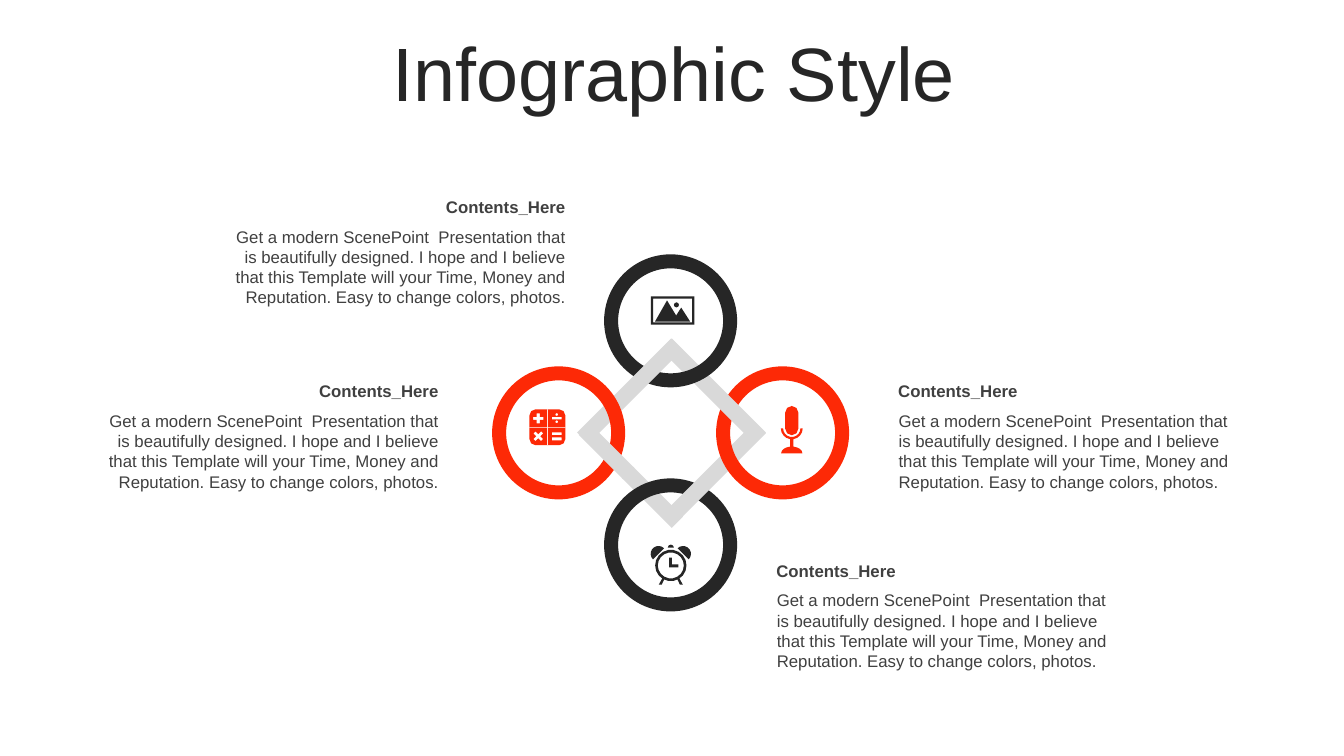
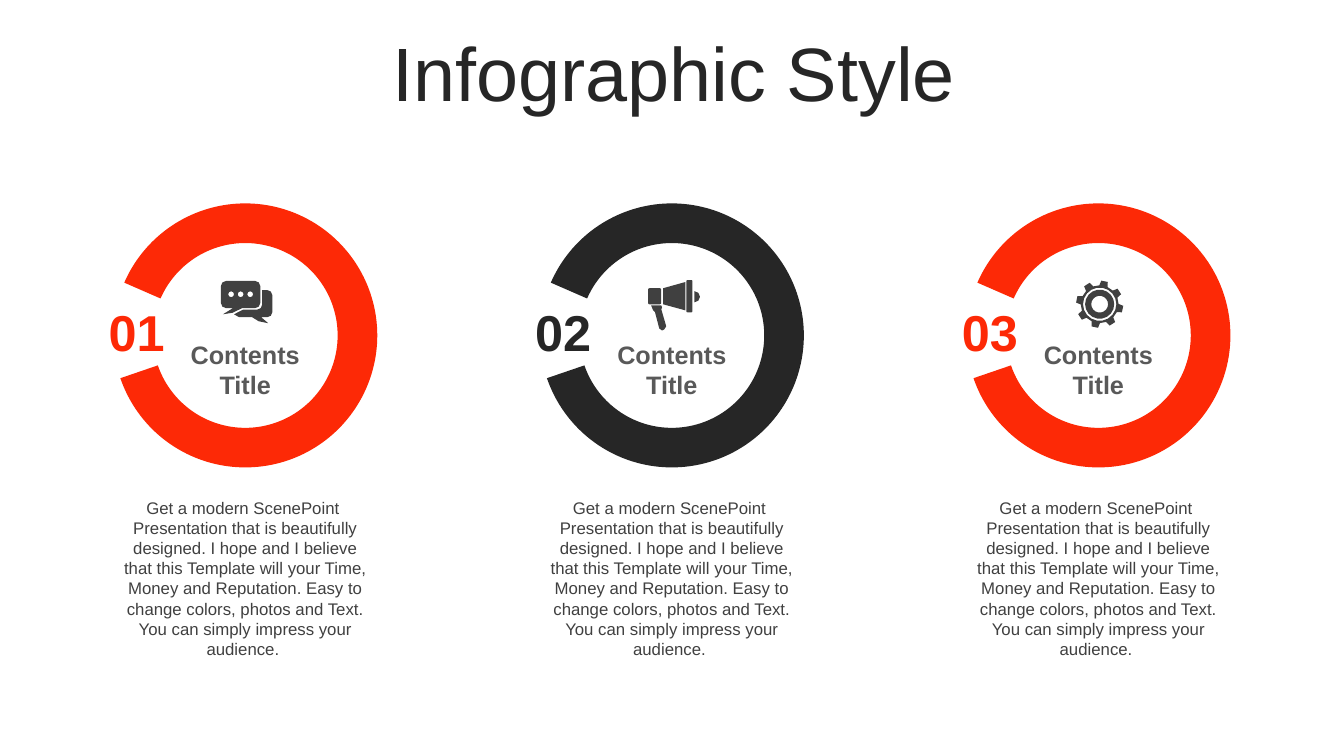
from dataclasses import dataclass
from math import ceil, cos, radians, sin

from pptx import Presentation
from pptx.dml.color import RGBColor
from pptx.enum import shapes, text
from pptx.util import Pt

MSO = shapes.MSO_SHAPE
ALIGN = text.PP_ALIGN
ANCHOR = text.MSO_ANCHOR
Point = tuple[float, float]
Contour = list[Point]


# Theme
@dataclass(frozen=True)
class Theme:
    font: str = "Arial"
    dark: str = "262626"
    accent: str = "FD2906"
    band: str = "D9D9D9"
    body: str = "404040"
    label: str = "595959"
    title_size: float = 54
    number_size: float = 36
    label_size: float = 18
    body_size: float = 12


T = Theme()
TITLE = "Infographic Style"
HEADING = "Contents_Here"
INTRO = ("Get a modern ScenePoint  Presentation that is beautifully designed. "
         "I hope and I believe that this Template will your Time, Money and "
         "Reputation. Easy to change colors, photos")
SHORT_TEXT = INTRO + "."
LONG_TEXT = INTRO + " and Text. You can simply impress your audience. "


# Repeated elements
@dataclass(frozen=True)
class Ring:
    dx: float
    dy: float
    color: str


@dataclass(frozen=True)
class Strip:
    dx: float
    dy: float
    length: float
    angle: float


@dataclass(frozen=True)
class TextBlock:
    x: float
    y: float
    align: ALIGN


@dataclass(frozen=True)
class Icon:
    x: float
    y: float
    color: str
    contours: list[Contour]


@dataclass(frozen=True)
class Step:
    number: str
    color: str
    icon_x: float
    icon_y: float
    contours: list[Contour]


# Outline helpers, in points from the top left of an icon
def arc(cx: float, cy: float, r: float, start: float, end: float,
        ry: float | None = None) -> Contour:
    n = ceil(abs(end - start) / (45 if r < 5 else 20))
    angles = [radians(start + (end - start) * i / n) for i in range(n + 1)]
    return [(cx + r * cos(a), cy + (ry or r) * sin(a)) for a in angles]


def circle(cx: float, cy: float, r: float) -> Contour:
    return arc(cx, cy, r, 0, 360)[:-1]


def box(x: float, y: float, w: float, h: float) -> Contour:
    return [(x, y), (x + w, y), (x + w, y + h), (x, y + h)]


def rounded(x: float, y: float, w: float, h: float, r: float) -> Contour:
    left, right, top, bottom = x + r, x + w - r, y + r, y + h - r
    return (arc(left, top, r, 180, 270) + arc(right, top, r, 270, 360)
            + arc(right, bottom, r, 0, 90) + arc(left, bottom, r, 90, 180))


def plus(cx: float, cy: float, arm: float, half: float, turn: float = 0) -> Contour:
    corners = [(arm, -half), (arm, half), (half, half)]
    points = []
    for quarter in range(4):
        a = radians(turn + 90 * quarter)
        points += [(cx + x * cos(a) - y * sin(a), cy + x * sin(a) + y * cos(a))
                   for x, y in corners]
    return points


def gear_rim(cx: float, cy: float, teeth: int, outer: float, inner: float,
             first: float) -> Contour:
    profile = [(-13, inner), (-8, outer), (8, outer), (13, inner)]
    pitch = 360 / teeth
    return [(cx + r * cos(radians(first + pitch * i + d)),
             cy + r * sin(radians(first + pitch * i + d)))
            for i in range(teeth) for d, r in profile]


# Icon outlines
PHOTO = [
    box(0, 0, 31, 20.2), box(1.6, 1.6, 27.8, 17),
    [(11.5, 2.9), (18, 13.7), (21.6, 8), (28, 18), (2.9, 18)],
    circle(18.2, 6.1, 1.8),
]
MICROPHONE = [
    rounded(2.9, 0, 9.4, 20.9, 4.7),
    arc(7.6, 16, 7.8, 0, 180) + arc(7.6, 16, 6.2, 180, 0),
    box(6.5, 23.8, 2.2, 5.2),
    arc(7.6, 33.8, 7.6, 180, 360, ry=4.8),
]
CALCULATOR = [
    rounded(0, 0, 25.6, 25.6, 4.3), plus(12.8, 12.8, 12.8, 0.35),
    plus(6.3, 6.5, 3.6, 1.1), plus(6.3, 19.2, 3.9, 1.1, turn=45),
    box(16, 5.4, 7, 1.8), circle(19.5, 3.7, 1), circle(19.5, 8.9, 1),
    box(16, 16.5, 7, 2), box(16, 20.1, 7, 2),
]
CLOCK = [
    circle(14.4, 15.1, 11.2), circle(14.4, 15.1, 9.3),
    [(13.2, 9.5), (15.1, 9.5), (15.1, 14.4), (19.8, 14.4), (19.8, 16.4), (13.2, 16.4)],
    arc(5.6, 6.8, 5.6, 135, 315), arc(23.2, 6.8, 5.6, 225, 405),
    [(7.9, 28.8), (5.8, 28.8), (8.2, 24.5), (9.6, 25.3)],
    [(20.9, 28.8), (23, 28.8), (20.6, 24.5), (19.2, 25.3)],
    arc(14.4, 2.4, 2.2, 180, 360),
]
CHAT = [
    rounded(0, 0, 28.1, 19.4, 3.6),
    [(8.6, 19.4), (15.1, 19.4), (8.5, 22.7), (1.5, 23.8)],
    *[circle(7.3 + 6.8 * i, 9.5, 2.1) for i in range(3)],
    [(29.5, 6.5)] + arc(33.1, 10.1, 3.6, 270, 360) + arc(33.1, 22.3, 3.6, 0, 90)
    + [(28.8, 25.9), (33.8, 30.2), (27, 28.8), (22.3, 25.9), (13, 25.9),
       (9.4, 23.8), (15.8, 20.5)] + arc(25.9, 16.9, 3.6, 90, 0),
]
MEGAPHONE = [
    [(2.2, 18), (9.4, 18), (10, 19.5), (9.5, 21), (13, 33), (11.5, 35.3),
     (10, 36), (8, 34.5), (5, 23), (3.6, 21.6)],
    arc(33.1, 11.9, 4, 270, 450),
    rounded(0, 5.8, 9.4, 11.5, 1),
    [(26.6, 1.4), (26.6, 21.6), (10.8, 17.3), (10.8, 5.8)],
    rounded(27.4, 0, 4.3, 23, 0.7),
]
GEAR = [gear_rim(16.8, 17, 8, 16.9, 13.5, -78),
        *[circle(16.8, 17, r) for r in (11.9, 10.4, 6)]]

# Slide 1 content: rings and strips listed from back to front
RINGS_X, DIAMOND_X, CENTER_Y = 479, 479.6, 309.2
RING_SIZE, RING_LINE, RING_OFFSET = 85, 10, 80
STRIP_LENGTH, STRIP_WIDTH, STRIP_OFFSET = 95, 11.4, 29.8
WEAVE = [
    Strip(-13.6, 46, 50.5, 45),
    Ring(0, RING_OFFSET, T.dark),
    Strip(STRIP_OFFSET, STRIP_OFFSET, STRIP_LENGTH, 135),
    Ring(RING_OFFSET, 0, T.accent),
    Strip(STRIP_OFFSET, -STRIP_OFFSET, STRIP_LENGTH, 45),
    Ring(0, -RING_OFFSET, T.dark),
    Strip(-STRIP_OFFSET, -STRIP_OFFSET, STRIP_LENGTH, 315),
    Ring(-RING_OFFSET, 0, T.accent),
    Strip(-46.3, 13.3, 45, 45),
]
BLOCK_WIDTH, HEADING_HEIGHT, BLOCK_HEIGHT = 258, 21.3, 65.5
BODY_SHIFT = 0.3
BLOCKS = [
    TextBlock(634.5, 268.6, ALIGN.LEFT),
    TextBlock(547.5, 396.7, ALIGN.LEFT),
    TextBlock(153, 136.8, ALIGN.RIGHT),
    TextBlock(62.4, 268.6, ALIGN.RIGHT),
]
ICONS = [
    Icon(464.8, 388.8, T.dark, CLOCK),
    Icon(378.2, 292.4, T.accent, CALCULATOR),
    Icon(558, 290, T.accent, MICROPHONE),
    Icon(465, 211.7, T.dark, PHOTO),
]

# Slide 2 content
ARC_LEFT, ARC_TOP, ARC_SIZE, ARC_STEP = 80.9, 145.3, 188.6, 304.7
ARC_ADJUSTMENTS = (122.14, 96.65, 0.15)
STEPS = [
    Step("01", T.accent, 76.9, 55.4, CHAT),
    Step("02", T.dark, 77.3, 54.8, MEGAPHONE),
    Step("03", T.accent, 78.4, 55, GEAR),
]


# Drawing functions
def rgb(color: str) -> RGBColor:
    return RGBColor.from_string(color)


def write(tf, content: str, *, size: float, color: str, bold: bool = False,
          align: ALIGN = ALIGN.LEFT, spacing: float | None = None) -> None:
    tf.word_wrap = True
    tf.auto_size = text.MSO_AUTO_SIZE.NONE
    p = tf.paragraphs[0]
    p.alignment = align
    p.line_spacing = spacing
    r = p.add_run()
    r.text = content
    r.font.name, r.font.size, r.font.bold = T.font, Pt(size), bold
    r.font.color.rgb = rgb(color)


def add_text(s, content: str, x: float, y: float, w: float, h: float, *,
             inset_right: float = 7.2, **style) -> None:
    tf = s.shapes.add_textbox(Pt(x), Pt(y), Pt(w), Pt(h)).text_frame
    tf.margin_right = Pt(inset_right)
    write(tf, content, **style)


def paint(sp, color: str) -> None:
    sp.shadow.inherit = False
    sp.fill.solid()
    sp.fill.fore_color.rgb = rgb(color)
    sp.line.fill.background()


def add_centered(s, kind: MSO, cx: float, cy: float, w: float, h: float):
    return s.shapes.add_shape(kind, Pt(cx - w / 2), Pt(cy - h / 2), Pt(w), Pt(h))


def add_ring(s, ring: Ring) -> None:
    sp = add_centered(s, MSO.OVAL, RINGS_X + ring.dx, CENTER_Y + ring.dy,
                      RING_SIZE, RING_SIZE)
    sp.shadow.inherit = False
    sp.fill.background()
    sp.line.color.rgb = rgb(ring.color)
    sp.line.width = Pt(RING_LINE)


def add_strip(s, strip: Strip) -> None:
    sp = add_centered(s, MSO.RECTANGLE, DIAMOND_X + strip.dx, CENTER_Y + strip.dy,
                      strip.length, STRIP_WIDTH)
    sp.rotation = strip.angle
    paint(sp, T.band)


def add_icon(s, icon: Icon) -> None:
    outlines = [[(Pt(icon.x + x), Pt(icon.y + y)) for x, y in c]
                for c in icon.contours]
    builder = s.shapes.build_freeform(*outlines[0][0])
    builder.add_line_segments(outlines[0][1:], close=True)
    for outline in outlines[1:]:
        builder.move_to(*outline[0])
        builder.add_line_segments(outline[1:], close=True)
    paint(builder.convert_to_shape(), icon.color)


def add_block(s, block: TextBlock) -> None:
    style = dict(size=T.body_size, color=T.body, align=block.align)
    add_text(s, SHORT_TEXT, block.x + BODY_SHIFT, block.y + HEADING_HEIGHT,
             BLOCK_WIDTH, BLOCK_HEIGHT, **style)
    add_text(s, HEADING, block.x, block.y, BLOCK_WIDTH, HEADING_HEIGHT,
             bold=True, **style)


def add_step(s, step: Step, x: float, y: float) -> None:
    sp = s.shapes.add_shape(MSO.BLOCK_ARC, Pt(x), Pt(y), Pt(ARC_SIZE), Pt(ARC_SIZE))
    for i, value in enumerate(ARC_ADJUSTMENTS):
        sp.adjustments[i] = value
    paint(sp, step.color)
    add_text(s, step.number, x - 12.3, y + 66.2, 51, 51, inset_right=0,
             size=T.number_size, color=step.color, bold=True, align=ALIGN.CENTER)
    add_text(s, LONG_TEXT, x, y + 206.5, ARC_SIZE, 124,
             size=T.body_size, color=T.body, align=ALIGN.CENTER)
    add_text(s, "Contents Title", x + 38.8, y + 93.5, 111, 51,
             size=T.label_size, color=T.label, bold=True, align=ALIGN.CENTER)
    add_icon(s, Icon(x + step.icon_x, y + step.icon_y, T.body, step.contours))


def add_slide(prs):
    s = prs.slides.add_slide(prs.slide_layouts[5])
    sp = s.shapes.title
    sp.left, sp.top, sp.width, sp.height = Pt(25.5), Pt(26.6), Pt(911.5), Pt(57)
    sp.text_frame.vertical_anchor = ANCHOR.MIDDLE
    write(sp.text_frame, TITLE, size=T.title_size, color=T.dark,
          align=ALIGN.CENTER, spacing=0.9)
    return s


def main() -> None:
    prs = Presentation()
    prs.slide_width, prs.slide_height = Pt(960), Pt(540)

    # Slide 1: four rings woven through a diamond
    s = add_slide(prs)
    for part in WEAVE:
        if isinstance(part, Ring):
            add_ring(s, part)
        else:
            add_strip(s, part)
    for block in BLOCKS:
        add_block(s, block)
    for icon in ICONS:
        add_icon(s, icon)

    # Slide 2: three numbered arcs
    s = add_slide(prs)
    for i, step in enumerate(STEPS):
        add_step(s, step, ARC_LEFT + i * ARC_STEP, ARC_TOP)

    prs.save("out.pptx")


if __name__ == "__main__":
    main()
